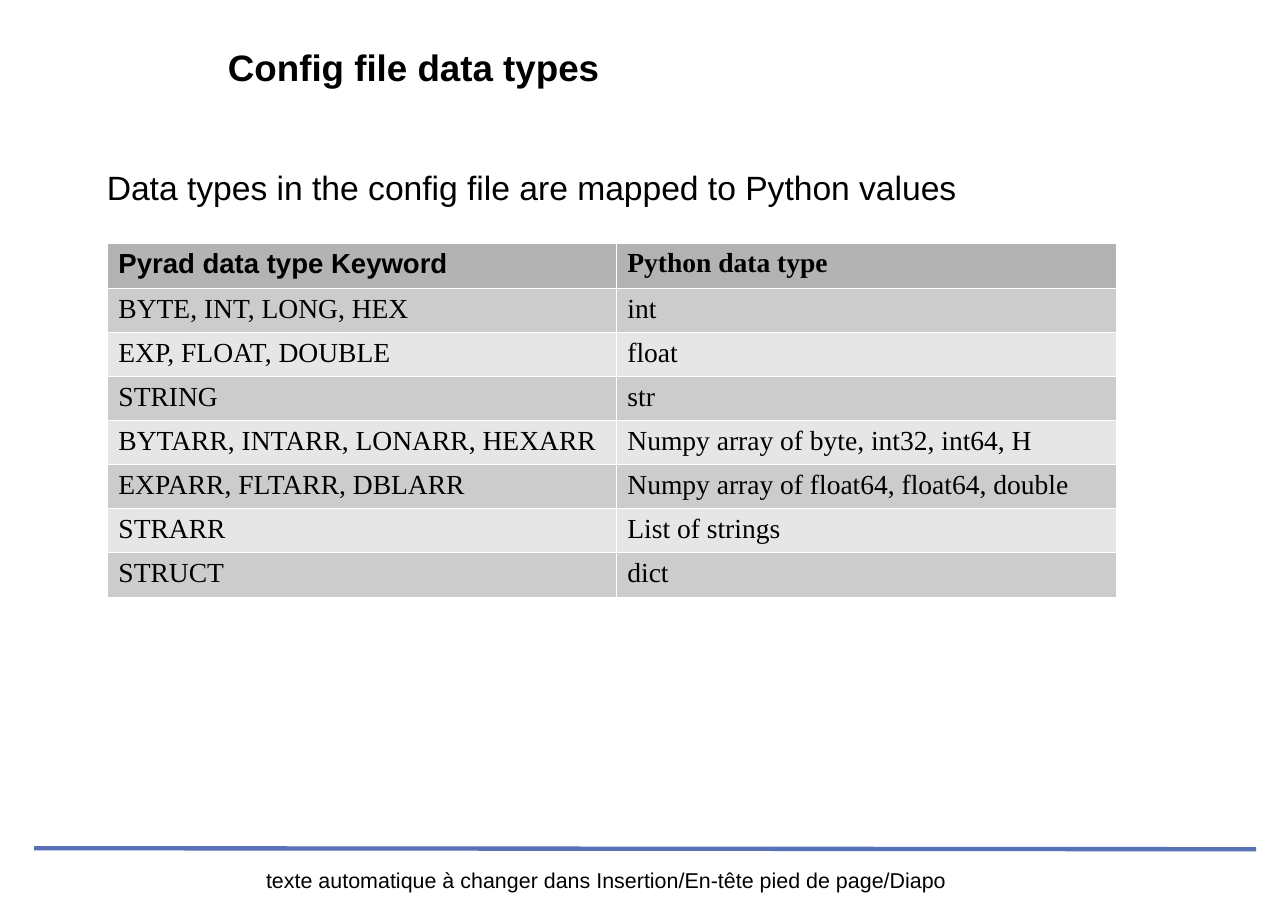
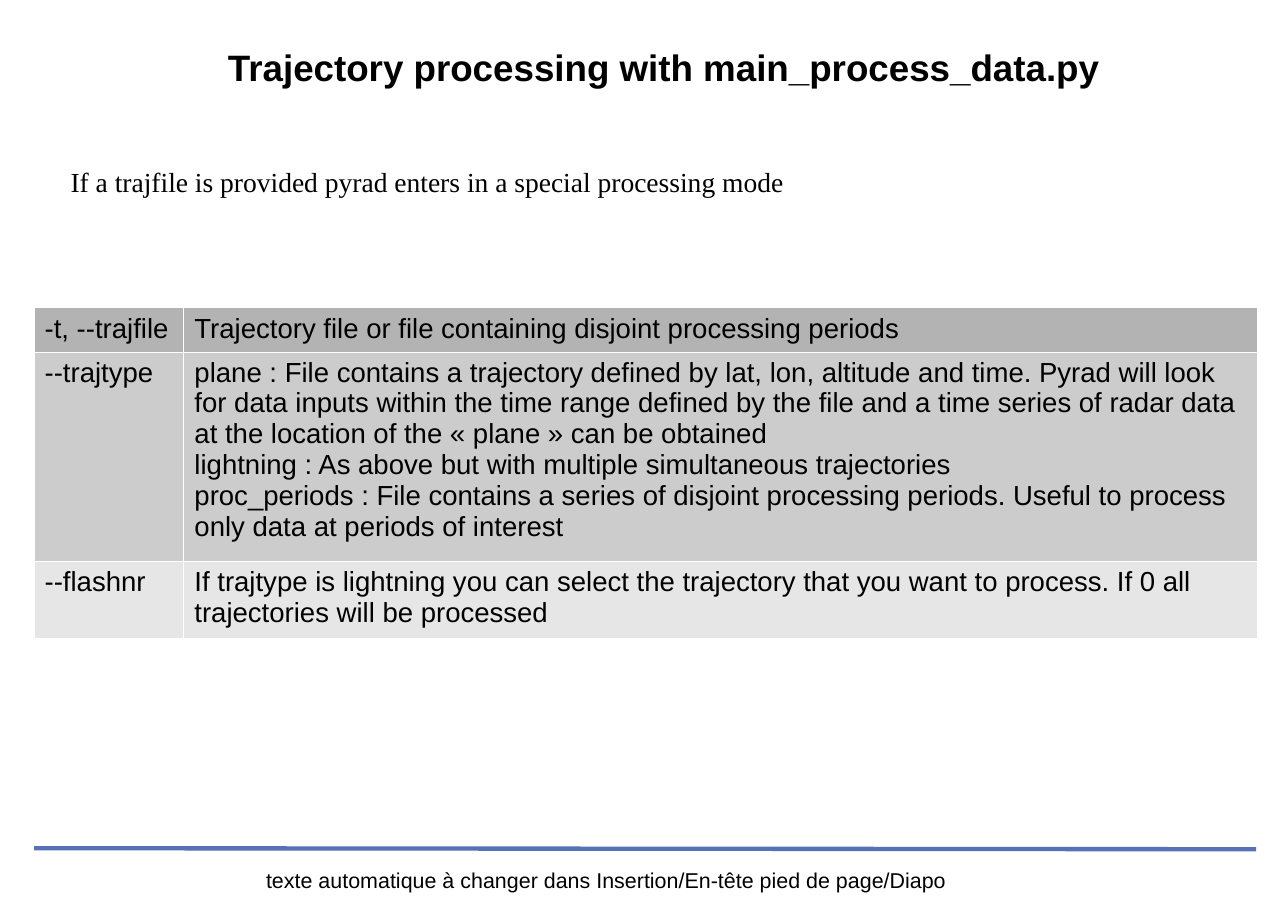
from dataclasses import dataclass

from lxml import etree
from pptx import Presentation
from pptx.dml import color
from pptx.enum import shapes, text
from pptx.oxml import ns
from pptx.util import Pt


@dataclass(frozen=True)
class Theme:
    ink: str = "000000"
    paper: str = "FFFFFF"
    rule: str = "5770B6"
    header: str = "B3B3B3"
    bands: tuple = ("CCCCCC", "E6E6E6")
    sans: str = "Arial"
    serif: str = "Times New Roman"
    title_size: float = 24
    lead_size: float = 22
    body_size: float = 18
    footer_size: float = 14
    rule_width: float = 2.83
    grid_width: float = 0.06


THEME = Theme()
FOOTER = "texte automatique à changer dans Insertion/En-tête pied de page/Diapo"

TITLE = {"name": THEME.sans, "size": Pt(THEME.title_size), "bold": True}
LEAD = {"name": THEME.sans, "size": Pt(THEME.lead_size), "bold": False}
SANS = {"name": THEME.sans, "size": Pt(THEME.body_size), "bold": False}
SERIF = {**SANS, "name": THEME.serif}
SANS_BOLD = {**SANS, "bold": True}
SERIF_BOLD = {**SERIF, "bold": True}
NOTE = {**SANS, "size": Pt(THEME.footer_size)}

DATA_TYPES = [
    ("Pyrad data type Keyword", "Python data type"),
    ("BYTE, INT, LONG, HEX", "int"),
    ("EXP, FLOAT, DOUBLE", "float"),
    ("STRING", "str"),
    ("BYTARR, INTARR, LONARR, HEXARR", "Numpy array of byte, int32, int64, H"),
    ("EXPARR, FLTARR, DBLARR", "Numpy array of float64, float64, double"),
    ("STRARR", "List of strings"),
    ("STRUCT", "dict"),
]

TRAJECTORY_OPTIONS = [
    ("-t, --trajfile",
     "Trajectory file or file containing disjoint processing periods"),
    ("--trajtype",
     "plane : File contains a trajectory defined by lat, lon, altitude and time. "
     "Pyrad will look for data inputs within the time range defined by the file "
     "and a time series of radar data at the location of the « plane » can be obtained\n"
     "lightning : As above but with multiple simultaneous trajectories\n"
     "proc_periods : File contains a series of disjoint processing periods. "
     "Useful to process only data at periods of interest"),
    ("--flashnr",
     "If trajtype is lightning you can select the trajectory that you want to process. "
     "If 0 all trajectories will be processed"),
]


def rgb(value):
    return color.RGBColor.from_string(value)


def write(frame, words, style, align=text.PP_ALIGN.LEFT):
    frame.text = words
    for paragraph in frame.paragraphs:
        paragraph.alignment = align
        for attribute, value in style.items():
            setattr(paragraph.font, attribute, value)
        paragraph.font.color.rgb = rgb(THEME.ink)


def add_label(slide, place, words, style, align=text.PP_ALIGN.LEFT,
              anchor=text.MSO_ANCHOR.TOP):
    label = slide.shapes.add_textbox(*map(Pt, place))
    frame = label.text_frame
    layout = {"word_wrap": True, "vertical_anchor": anchor, "margin_left": 0,
              "margin_top": 0, "margin_right": 0, "margin_bottom": 0}
    for attribute, value in layout.items():
        setattr(frame, attribute, value)
    write(frame, words, style, align)


def add_rule(slide):
    rule = slide.shapes.add_connector(
        shapes.MSO_CONNECTOR.STRAIGHT, Pt(22.3), Pt(554.4), Pt(820.8), Pt(555.1))
    rule.line.color.rgb = rgb(THEME.rule)
    rule.line.width = Pt(THEME.rule_width)
    etree.SubElement(rule._element.spPr, ns.qn("a:effectLst"))


def add_borders(cell):
    properties = cell._tc.get_or_add_tcPr()
    for side in ("lnL", "lnR", "lnT", "lnB"):
        edge = etree.SubElement(properties, ns.qn(f"a:{side}"),
                                w=str(Pt(THEME.grid_width)))
        paint = etree.SubElement(edge, ns.qn("a:solidFill"))
        etree.SubElement(paint, ns.qn("a:srgbClr"), val=THEME.paper)


def add_grid(slide, left, top, widths, heights, rows, heading, body):
    grid = slide.shapes.add_table(
        len(rows), len(widths), Pt(left), Pt(top),
        Pt(sum(widths)), Pt(sum(heights))).table
    for column, width in zip(grid.columns, widths):
        column.width = Pt(width)
    for index, (height, entries) in enumerate(zip(heights, rows)):
        grid.rows[index].height = Pt(height)
        band = THEME.bands[(index - 1) % 2] if index else THEME.header
        for position, words in enumerate(entries):
            cell = grid.cell(index, position)
            add_borders(cell)
            cell.fill.solid()
            cell.fill.fore_color.rgb = rgb(band)
            write(cell.text_frame, words, body if index else heading[position])


def add_page(deck, title):
    slide = deck.slides.add_slide(deck.slide_layouts[6])
    add_rule(slide)
    add_label(slide, (149, 19.8, 665, 48), title, TITLE,
              anchor=text.MSO_ANCHOR.MIDDLE)
    add_label(slide, (107.3, 566.6, 578, 28), FOOTER, NOTE,
              align=text.PP_ALIGN.CENTER)
    return slide


def main():
    deck = Presentation()
    deck.slide_width, deck.slide_height = Pt(841.68), Pt(595.44)

    types_page = add_page(deck, "Config file data types")
    add_label(types_page, (69.8, 109, 730, 30),
              "Data types in the config file are mapped to Python values", LEAD)
    add_grid(types_page, 70.2, 158.6, (332.6, 326.6), [29.6] + [27.1] * 7,
             DATA_TYPES, (SANS_BOLD, SERIF_BOLD), SERIF)

    trajectory_page = add_page(
        deck, "Trajectory processing with main_process_data.py")
    add_grid(trajectory_page, 22, 201, (97.9, 701.7), (28.2, 136.6, 50.2),
             TRAJECTORY_OPTIONS, (SANS, SANS), SANS)
    add_label(trajectory_page, (46.1, 108, 500, 22),
              "If a trajfile is provided pyrad enters in a special processing mode",
              SERIF)

    deck.save("out.pptx")


if __name__ == "__main__":
    main()
